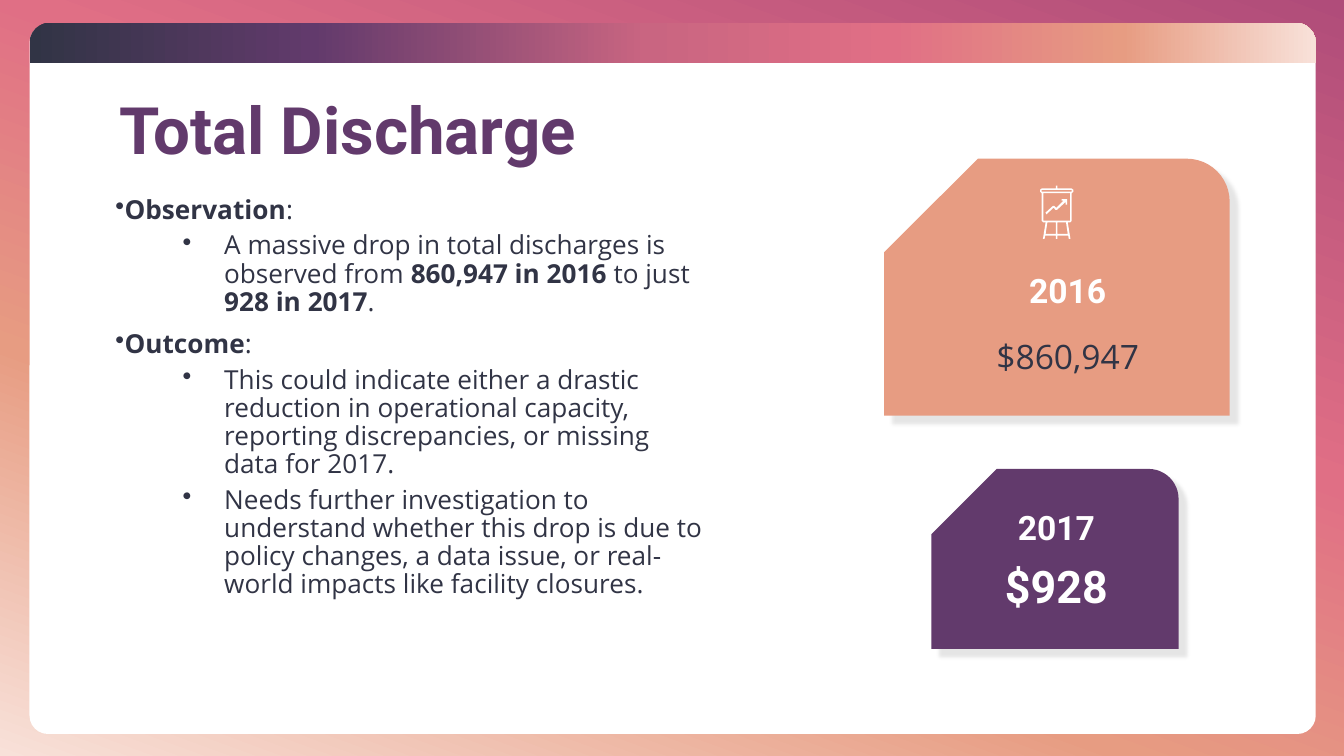
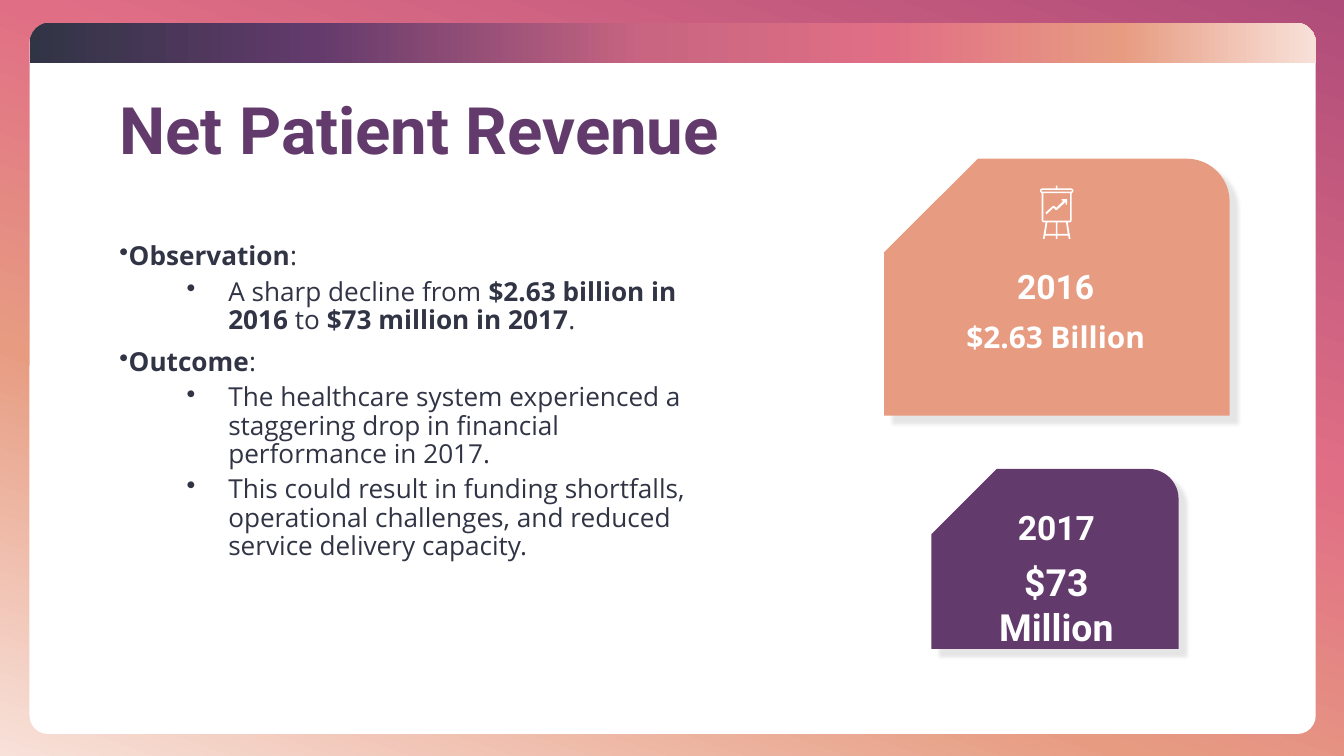
from dataclasses import dataclass
from typing import NamedTuple

from lxml import etree
from pptx import Presentation
from pptx.dml.color import RGBColor
from pptx.enum.shapes import MSO_SHAPE
from pptx.enum.text import MSO_ANCHOR, PP_ALIGN
from pptx.oxml.ns import qn
from pptx.util import Inches, Pt

ROUND_RECT = MSO_SHAPE.ROUNDED_RECTANGLE
ROUND_TOP = MSO_SHAPE.ROUND_2_SAME_RECTANGLE
SNIP_ROUND = MSO_SHAPE.SNIP_ROUND_RECTANGLE
TOP, MIDDLE = MSO_ANCHOR.TOP, MSO_ANCHOR.MIDDLE
LEFT, CENTER = PP_ALIGN.LEFT, PP_ALIGN.CENTER


@dataclass(frozen=True)
class Theme:
    white: str = "FFFFFF"
    ink: str = "313445"
    purple: str = "623A6C"
    orange: str = "E79C82"
    backdrop: tuple = ((0, "B04C7A"), (39, "E06F85"), (67, "E79C82"), (100, "F8E1D9"))
    band: tuple = ((0, "313445"), (22, "623A6C"), (48, "C96581"),
                   (67, "E06F85"), (85, "E79C82"), (100, "F8E1D9"))
    head_font: str = "Roboto"
    body_font: str = "Open Sans"
    title_size: int = 35
    body_size: int = 14
    year_size: int = 18


T = Theme()


class Box(NamedTuple):
    """A region in inches; sub() takes percentages of it."""
    x: float
    y: float
    w: float
    h: float

    def sub(self, x, y, w, h):
        return Box(self.x + self.w * x / 100, self.y + self.h * y / 100,
                   self.w * w / 100, self.h * h / 100)

    def emu(self):
        return [Inches(v) for v in self]


SLIDE = Box(0, 0, 10, 5.625)

# Easel outlines, each half given as (distance from the axis, height)
EASEL_AXIS, EASEL_WIDTH = 123, 246
EASEL_HALVES = [
    # silhouette
    [(6, 0), (6, 20), (110, 20), (123, 30), (123, 46), (111, 56), (111, 262),
     (101, 272), (82, 272), (102, 395), (90, 395), (85, 370), (6, 370), (6, 395)],
    # openings: rail, board, legs
    [(111, 32), (111, 44)],
    [(99, 56), (99, 260)],
    [(6, 272), (6, 358), (82, 358), (69, 272)],
]
TREND = [(40, 200), (95, 150), (105, 150), (120, 165), (175, 110), (160, 110),
         (160, 100), (200, 100), (200, 140), (190, 140), (190, 120), (125, 180),
         (115, 180), (100, 163), (48, 212)]


def rgb(color):
    return RGBColor.from_string(color)


def set_gradient(fill, element, stops, angle):
    fill.gradient()
    grad = next(element.iter(qn("a:gradFill")))
    gs_list = grad.find(qn("a:gsLst"))
    for gs in list(gs_list):
        gs_list.remove(gs)
    for pos, color in stops:
        gs = etree.SubElement(gs_list, qn("a:gs"), pos=str(pos * 1000))
        etree.SubElement(gs, qn("a:srgbClr"), val=color)
    grad.find(qn("a:lin")).set("ang", str(angle * 60000))


def paint(sp, color):
    sp.shadow.inherit = False
    sp.fill.solid()
    sp.fill.fore_color.rgb = rgb(color)
    sp.line.fill.background()
    return sp


def add_shape(s, kind, box, color, adj):
    sp = paint(s.shapes.add_shape(kind, *box.emu()), color)
    for i, value in enumerate(adj):
        sp.adjustments[i] = value
    return sp


def add_bullet(p, level):
    p.level = level
    pPr = p._p.get_or_add_pPr()
    pPr.set("marL", str(Inches(0.81 * level)))
    pPr.set("indent", str(Inches(-0.31 * level)))
    etree.SubElement(pPr, qn("a:buChar"), char="•")


def add_text(s, box, paras, size, color=T.white, font=T.head_font, bold=False,
             align=LEFT, anchor=TOP, spacing=None, bullets=False):
    """Write (level, text) paragraphs; text between ** marks is bold."""
    tf = s.shapes.add_textbox(*box.emu()).text_frame
    tf.word_wrap = True
    tf.vertical_anchor = anchor
    for i, (level, text) in enumerate(paras):
        p = tf.paragraphs[0] if i == 0 else tf.add_paragraph()
        p.alignment = align
        if bullets:
            add_bullet(p, level)
            if i:
                p.space_before = Pt(3.8 if level else 7.5)
        if spacing:
            p.line_spacing = spacing
        for j, part in enumerate(text.split("**")):
            if part:
                r = p.add_run()
                r.text = part
                r.font.name, r.font.size = font, Pt(size)
                r.font.bold = bold or j % 2 == 1
                r.font.color.rgb = rgb(color)


def add_outline(s, box, contours):
    first, *rest = contours
    fb = s.shapes.build_freeform(*first[0], scale=Inches(box.w) / EASEL_WIDTH)
    fb.add_line_segments(first[1:], close=True)
    for points in rest:
        fb.move_to(*points[0])
        fb.add_line_segments(points[1:], close=True)
    paint(fb.convert_to_shape(Inches(box.x), Inches(box.y)), T.white)


def add_easel(s, box):
    contours = [[(EASEL_AXIS + d, y) for d, y in half]
                + [(EASEL_AXIS - d, y) for d, y in reversed(half)]
                for half in EASEL_HALVES]
    add_outline(s, box, contours)
    add_outline(s, box, [TREND])


def add_frame(s):
    # Backdrop, white panel and top band
    set_gradient(s.background.fill, s.element, T.backdrop, 110)
    add_shape(s, ROUND_RECT, SLIDE.sub(2.2, 3.2, 95.7, 93.9), T.white, [0.026])
    band = add_shape(s, ROUND_TOP, SLIDE.sub(2.2, 3, 95.7, 5.3), T.white, [0.5, 0])
    set_gradient(band.fill, band.element, T.band, 0)


def add_card(s, box, card_color, year, value, year_box, value_box, **value_format):
    # Card mirrored so that the cut corner is at the left
    card = add_shape(s, SNIP_ROUND, box, card_color, [0.167, 0.364])
    next(card.element.iter(qn("a:xfrm"))).set("flipH", "1")
    shadow = etree.SubElement(next(card.element.iter(qn("a:effectLst"))), qn("a:outerShdw"),
                              blurRad=str(Pt(2)), dist=str(Pt(6)), dir=str(45 * 60000),
                              algn="tl", rotWithShape="0")
    clr = etree.SubElement(shadow, qn("a:srgbClr"), val="000000")
    etree.SubElement(clr, qn("a:alpha"), val="10000")
    # Year and value
    add_text(s, box.sub(*year_box), [(0, year)], T.year_size, bold=True, align=CENTER)
    add_text(s, box.sub(*value_box), [(0, value)], align=CENTER, **value_format)


def comparison_slide(prs, title, body_at, points, before, after):
    s = prs.slides.add_slide(prs.slide_layouts[6])
    add_frame(s)
    # Findings and title
    add_text(s, SLIDE.sub(*body_at, 46.2, 53.7), points, T.body_size, T.ink,
             T.body_font, spacing=0.9, bullets=True)
    add_text(s, SLIDE.sub(7.9, 10.7, 84.2, 13.9), [(0, title)], T.title_size,
             T.purple, bold=True, anchor=MIDDLE, spacing=0.9)
    # Year cards
    add_card(s, SLIDE.sub(69.3, 62.04, 18.4, 23.8), T.purple, "2017",
             year_box=(10.9, 17.2, 79.3, 29.9), bold=True, **after)
    earlier = SLIDE.sub(65.8, 21, 25.7, 34)
    add_card(s, earlier, T.orange, "2016", font=T.body_font, **before)
    add_easel(s, earlier.sub(45.1, 10.5, 9.6, 20.7))


def main():
    prs = Presentation()
    prs.slide_width, prs.slide_height = Inches(SLIDE.w), Inches(SLIDE.h)

    comparison_slide(
        prs, "Total Discharge", (7.6, 25.2),
        [(0, "**Observation**:"),
         (1, "A massive drop in total discharges is observed from "
             "**860,947 in 2016** to just **928 in 2017**."),
         (0, "**Outcome**:"),
         (1, "This could indicate either a drastic reduction in operational capacity, "
             "reporting discrepancies, or missing data for 2017."),
         (1, "Needs further investigation to understand whether this drop is due to "
             "policy changes, a data issue, or real-world impacts like facility closures.")],
        before=dict(value="$860,947", size=18, color=T.ink,
                    year_box=(17.9, 40.8, 70.4, 20.9), value_box=(17.9, 66.5, 70.4, 29.3)),
        after=dict(value="$928", size=24, value_box=(10.9, 46.3, 79.3, 37.3)))

    comparison_slide(
        prs, "Net Patient Revenue", (7.9, 31.3),
        [(0, "**Observation**:"),
         (1, "A sharp decline from **$2.63 billion in 2016** to **$73 million in 2017**."),
         (0, "**Outcome**:"),
         (1, "The healthcare system experienced a staggering drop in financial "
             "performance in 2017."),
         (1, "This could result in funding shortfalls, operational challenges, and "
             "reduced service delivery capacity.")],
        before=dict(value="$2.63 Billion", size=16, bold=True,
                    year_box=(14.4, 39.3, 70.4, 20.9), value_box=(14.4, 59.7, 70.4, 31.4)),
        after=dict(value="$73 Million", size=20, value_box=(10.9, 46.3, 79.3, 57.5)))

    prs.save("out.pptx")


if __name__ == "__main__":
    main()
